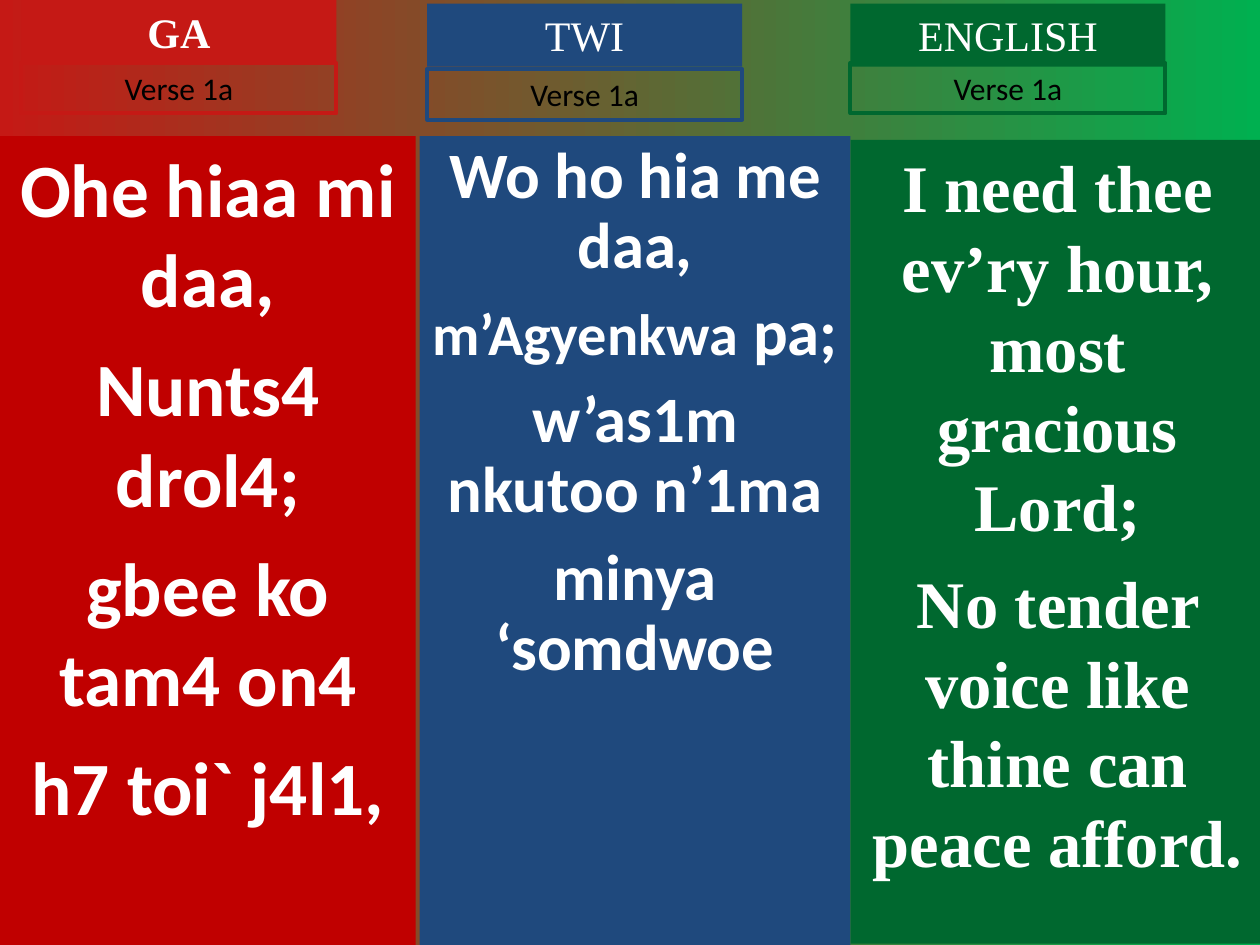
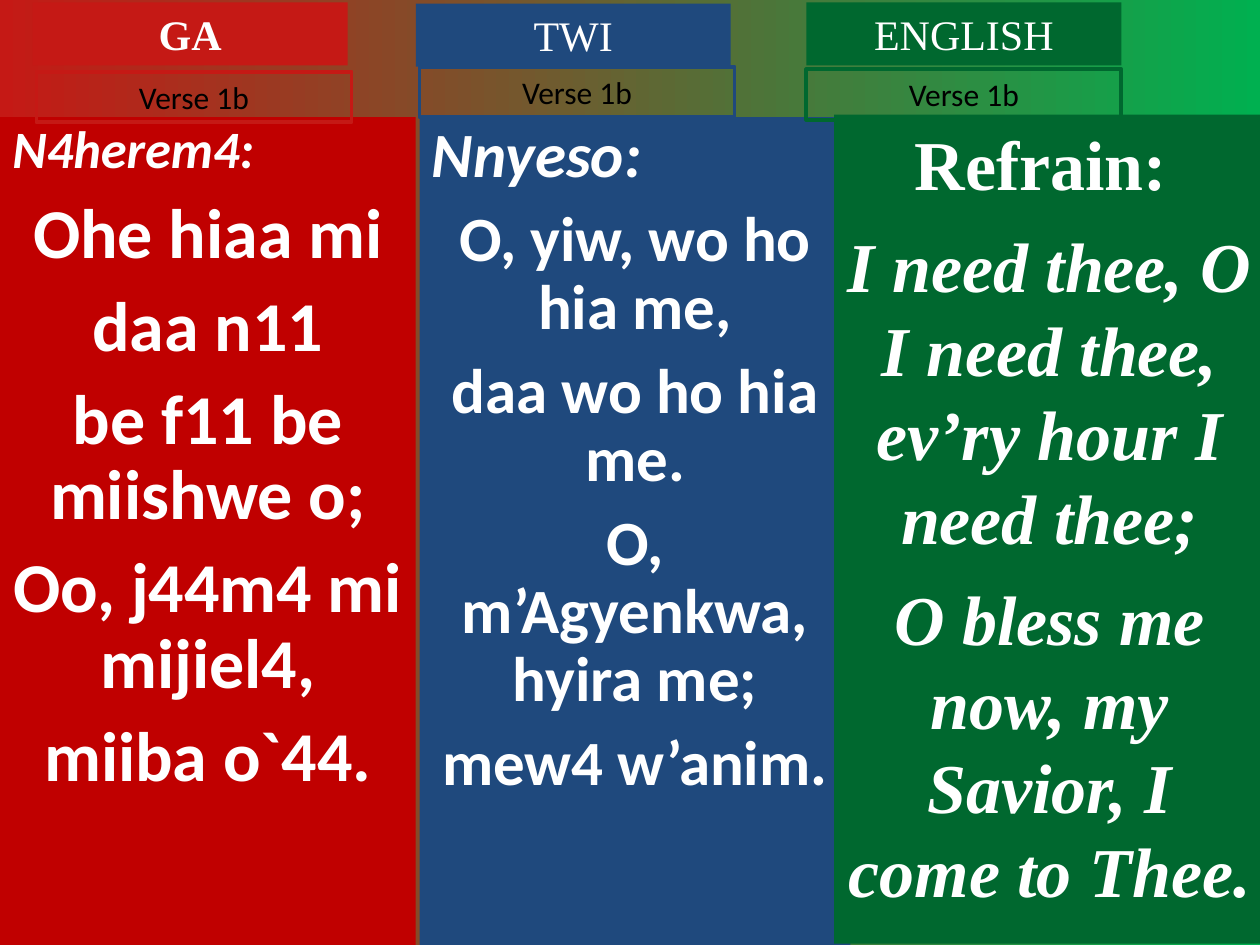
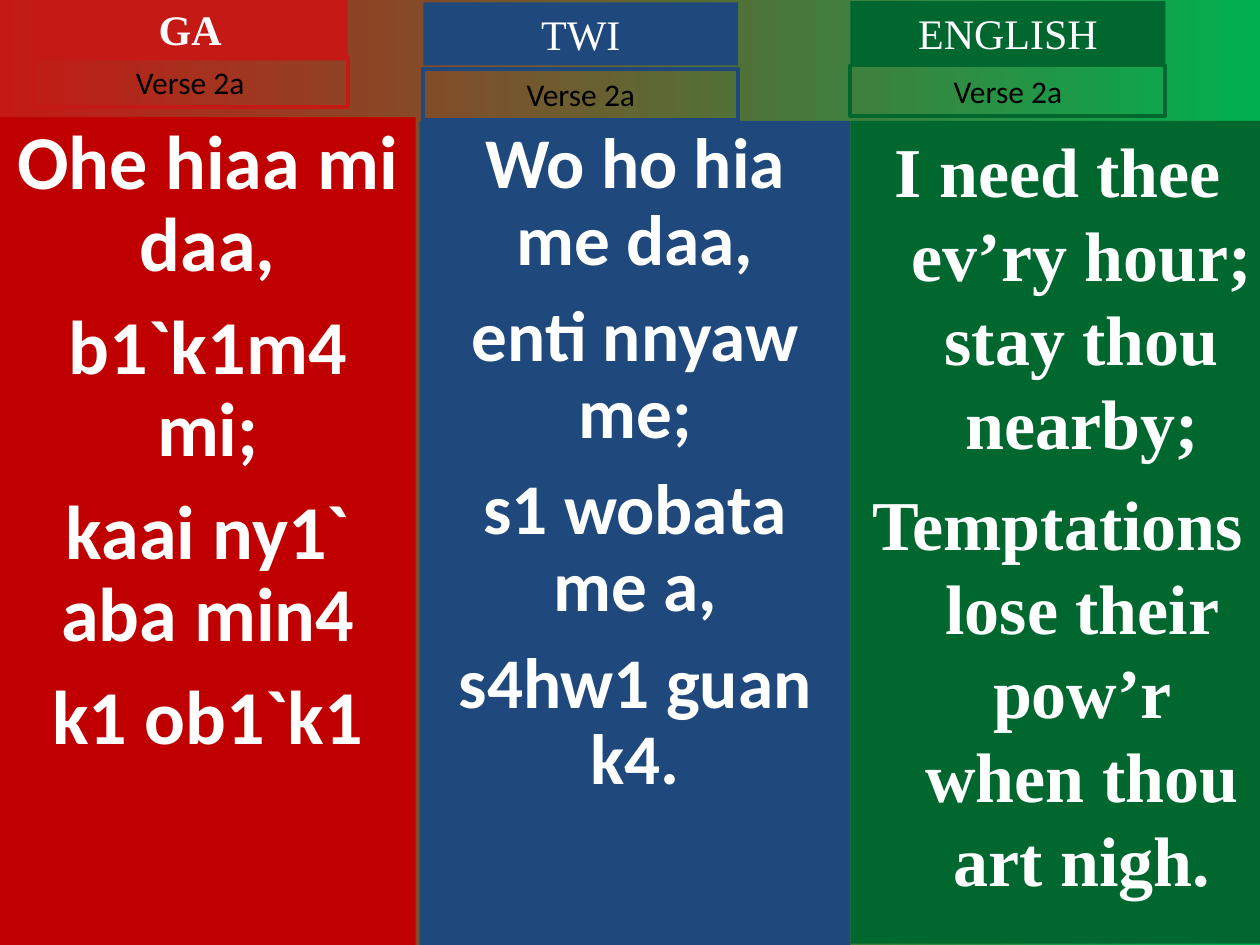
from dataclasses import dataclass

from pptx import Presentation
from pptx.dml.color import RGBColor
from pptx.enum.shapes import MSO_SHAPE
from pptx.enum.text import MSO_ANCHOR, PP_ALIGN
from pptx.util import Inches, Pt

SLIDE_WIDTH, SLIDE_HEIGHT = Inches(10), Inches(7.5)
COLUMN, ROW = SLIDE_WIDTH / 10, SLIDE_HEIGHT / 7.5
SANS, SERIF = "Calibri", "Times New Roman"
WHITE, BLACK, RED, GREEN = "FFFFFF", "000000", "C51915", "00B050"
LABEL_WIDTH, NAME_HEIGHT, VERSE_HEIGHT = 2.5, 0.5, 0.4


@dataclass
class Language:
    name: str
    panel_color: str
    label_color: str
    lyric_font: str
    panel_right: float
    panel_bottom: float = 7.5
    bold_name: bool = False


@dataclass
class Line:
    text: str
    size: float = None
    italic: bool = False
    align: PP_ALIGN = PP_ALIGN.CENTER
    ending: str = ""


@dataclass
class Stanza:
    language: Language
    panel: tuple
    name: tuple
    verse: tuple
    size: float
    gap: float
    lines: list
    spacing: float = 1.0
    hanging: float = 0


GA = Language("GA", "C00000", RED, SANS, 3.3, bold_name=True)
TWI = Language("TWI", "1F497D", "1F497D", SANS, 6.75)
ENGLISH = Language("ENGLISH", "00682F", "00682F", SERIF, 10.04, 7.49)

VERSES = {
    "Verse 1a": [
        Stanza(GA, (0, 1.08), (0.17, 0), (0.17, 0.5), 43, 10.7, [
            Line("Ohe hiaa mi daa,"),
            Line("Nunts4 drol4;"),
            Line("gbee ko tam4 on4"),
            Line("h7 toi` j4l1,"),
        ]),
        Stanza(TWI, (3.33, 1.08), (3.39, 0.03), (3.39, 0.55), 37, 10, [
            Line("Wo ho hia me daa,"),
            Line("m’Agyenkwa", size=33.3, ending=" pa;"),
            Line("w’as1m nkutoo n’1ma"),
            Line("minya ‘somdwoe"),
        ], spacing=0.9),
        Stanza(ENGLISH, (6.75, 1.11), (6.75, 0.03), (6.75, 0.5), 38, 9.5, [
            Line("I need thee ev’ry hour, most gracious Lord;"),
            Line("No tender voice like thine can peace afford."),
        ]),
    ],
    "Verse 1b": [
        Stanza(GA, (0, 0.93), (0.26, 0.02), (0.29, 0.57), 40, 10, [
            Line("N4herem4:", size=30, italic=True, align=PP_ALIGN.LEFT),
            Line("Ohe hiaa mi"),
            Line("daa n11"),
            Line("be f11 be miishwe o;"),
            Line("Oo, j44m4 mi mijiel4,"),
            Line("miiba o`44."),
        ], spacing=0.9),
        Stanza(TWI, (3.33, 0.93), (3.3, 0.03), (3.33, 0.53), 36, 9, [
            Line("Nnyeso:", italic=True, align=PP_ALIGN.LEFT),
            Line("O, yiw, wo ho hia me,"),
            Line("daa wo ho hia me."),
            Line("O, m’Agyenkwa, hyira me;"),
            Line("mew4 w’anim."),
        ], spacing=0.9),
        Stanza(ENGLISH, (6.62, 0.91), (6.4, 0.02), (6.4, 0.55), 40, 10, [
            Line("Refrain: "),
            Line("I need thee, O I need thee, ev’ry hour I need thee;", italic=True),
            Line("O bless me now, my Savior, I come to Thee.", italic=True),
        ]),
    ],
    "Verse 2a": [
        Stanza(GA, (0, 0.93), (0.26, -0.02), (0.26, 0.45), 43.5, 11.8, [
            Line("Ohe hiaa mi daa,"),
            Line("b1`k1m4 mi;"),
            Line("kaai ny1` aba min4"),
            Line("k1 ob1`k1"),
        ], spacing=0.9),
        Stanza(TWI, (3.33, 0.96), (3.36, 0.02), (3.36, 0.55), 40.7, 11, [
            Line("Wo ho hia me daa,"),
            Line("enti nnyaw me;"),
            Line("s1 wobata me a,"),
            Line("s4hw1 guan k4."),
        ], spacing=0.9),
        Stanza(ENGLISH, (6.75, 0.96), (6.75, 0.01), (6.75, 0.52), 40, 10, [
            Line("I need thee ev’ry hour; stay thou nearby;"),
            Line("Temptations lose their pow’r when thou art nigh."),
        ], hanging=0.38),
    ],
}


def color(value):
    return RGBColor.from_string(value)


def add_box(slide, position, width, height, fill=None, line=None):
    left, top = position
    shape = slide.shapes.add_shape(
        MSO_SHAPE.RECTANGLE,
        round(left * COLUMN), round(top * ROW), round(width * COLUMN), round(height * ROW),
    )
    shape.shadow.inherit = False
    if fill:
        shape.fill.solid()
        shape.fill.fore_color.rgb = color(fill)
    else:
        shape.fill.background()
    if line:
        shape.line.color.rgb = color(line)
        shape.line.width = Pt(2.25)
    else:
        shape.line.fill.background()
    shape.text_frame.word_wrap = True
    shape.text_frame.vertical_anchor = MSO_ANCHOR.TOP
    return shape


def set_font(font, name, size, text_color, bold=False, italic=False):
    font.name = name
    font.size = Pt(size)
    font.color.rgb = color(text_color)
    font.bold = bold
    font.italic = italic


def add_label(shape, text, name, size, text_color, bold=False):
    paragraph = shape.text_frame.paragraphs[0]
    paragraph.text = text
    paragraph.alignment = PP_ALIGN.CENTER
    set_font(paragraph.font, name, size, text_color, bold)


def add_lyrics(text_frame, stanza):
    for index, line in enumerate(stanza.lines):
        paragraph = text_frame.add_paragraph() if index else text_frame.paragraphs[0]
        paragraph.alignment = line.align
        paragraph.line_spacing = stanza.spacing
        paragraph.space_before = Pt(stanza.gap if index else 0)
        if stanza.hanging:
            properties = paragraph._p.get_or_add_pPr()
            properties.set("marL", str(Inches(stanza.hanging)))
            properties.set("indent", str(-Inches(stanza.hanging)))
        run = paragraph.add_run()
        run.text = line.text
        size = stanza.size if line.ending else line.size or stanza.size
        set_font(paragraph.font, stanza.language.lyric_font, size, WHITE, True, line.italic)
        if line.ending:
            run.font.size = Pt(line.size)
            paragraph.add_run().text = line.ending


def add_stanza(slide, stanza, verse):
    language = stanza.language
    left, top = stanza.panel
    panel = add_box(slide, stanza.panel, language.panel_right - left,
                    language.panel_bottom - top, fill=language.panel_color)
    add_lyrics(panel.text_frame, stanza)
    name_box = add_box(slide, stanza.name, LABEL_WIDTH, NAME_HEIGHT, fill=language.label_color)
    add_label(name_box, language.name, SERIF, 24, WHITE, language.bold_name)
    verse_box = add_box(slide, stanza.verse, LABEL_WIDTH, VERSE_HEIGHT, line=language.label_color)
    add_label(verse_box, verse, SANS, 18, BLACK)


def set_background(master):
    fill = master.background.fill
    fill.gradient()
    fill.gradient_angle = 0
    for stop, value in zip(fill.gradient_stops, (RED, GREEN)):
        stop.color.rgb = color(value)


def main():
    presentation = Presentation()
    presentation.slide_width, presentation.slide_height = SLIDE_WIDTH, SLIDE_HEIGHT
    set_background(presentation.slide_master)
    blank_layout = presentation.slide_layouts[6]
    for verse, stanzas in VERSES.items():
        slide = presentation.slides.add_slide(blank_layout)
        for stanza in stanzas:
            add_stanza(slide, stanza, verse)
    presentation.save("out.pptx")


if __name__ == "__main__":
    main()
